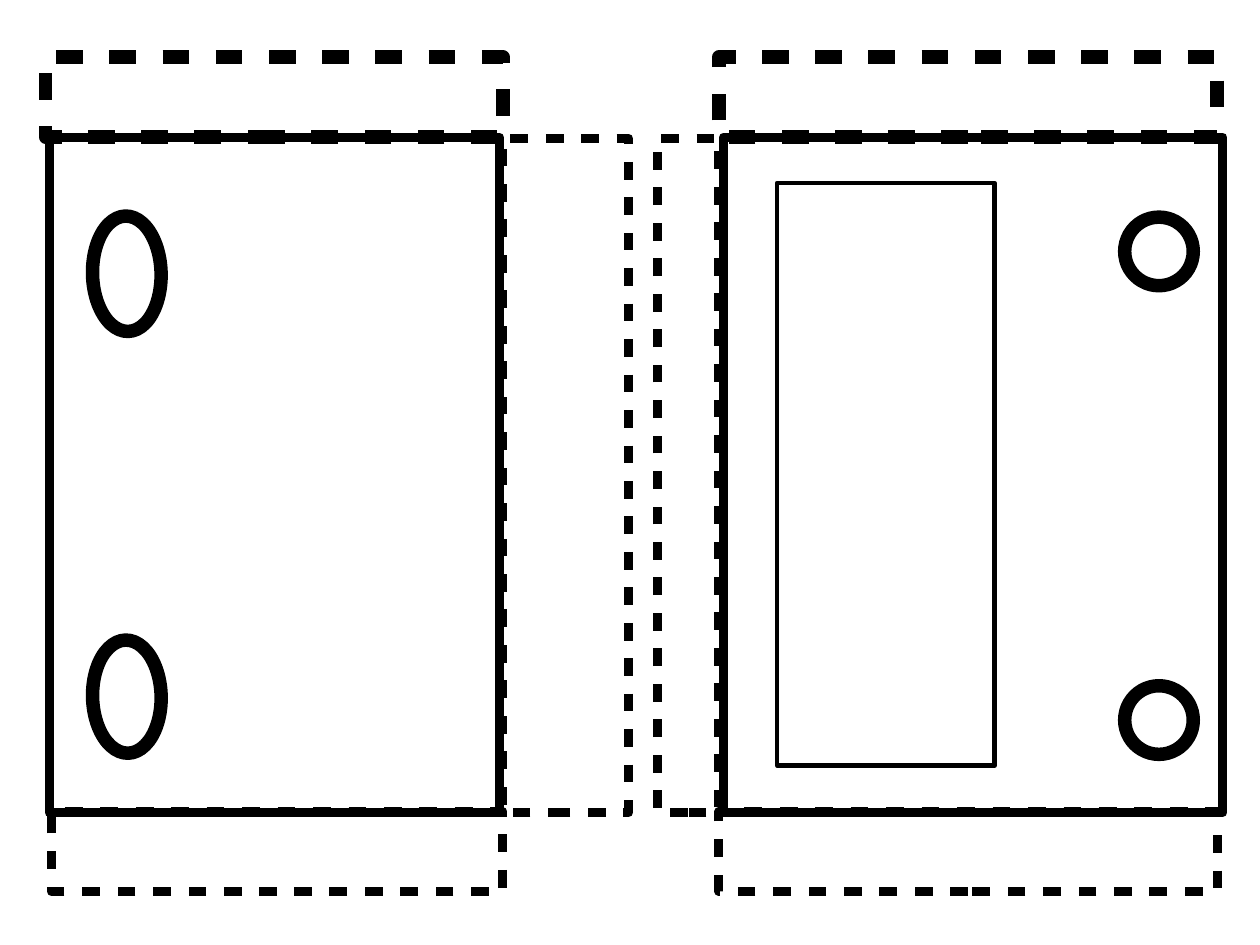
from lxml.etree import SubElement as Sub
from pptx import Presentation
from pptx.dml.color import RGBColor
from pptx.enum.shapes import MSO_SHAPE as Kind
from pptx.oxml.ns import qn
from pptx.util import Inches, Pt

BLACK = RGBColor(0, 0, 0)
WHITE = RGBColor(255, 255, 255)
THIN, MID, THICK = 2.83, 5.67, 8.5
DASH = "197000"


class Sheet:
    """Draws the outlined panels, flaps and holes of a folding card."""

    def __init__(self, slide):
        self.slide = slide
        self.home = slide.shapes

    def shape(self, kind, box, width, fill=None, **form):
        item = self.home.add_shape(kind, *map(Inches, box))
        item.shadow.inherit = False
        if fill is None:
            item.fill.background()
        else:
            item.fill.solid()
            item.fill.fore_color.rgb = fill
        item.line.color.rgb = BLACK
        for name, value in form.items():
            setattr(item, name, value)
        item.line.width = Pt(width)
        return item

    def rect(self, box, width, dash=False, flip=False):
        item = self.shape(Kind.RECTANGLE, box, width)
        line = item.line._get_or_add_ln()
        if dash:
            Sub(Sub(line, qn("a:custDash")), qn("a:ds"), d=DASH, sp=DASH)
        Sub(line, qn("a:round"))
        if flip:
            item._element.spPr.xfrm.set("flipH", "1")

    def panel(self, body, top, base, side, flip=False):
        self.rect(body, MID, flip=flip)
        for box, width in ((top, THICK), (base, MID), (side, MID)):
            self.rect(box, width, True, flip)

    def group(self):
        self.home = self.slide.shapes.add_group_shape().shapes

    def leave(self):
        self.home = self.slide.shapes

    def hole(self, box, turn=0):
        self.shape(Kind.FLOWCHART_CONNECTOR, box, THICK, WHITE, rotation=turn)


def main():
    deck = Presentation()
    deck.slide_width, deck.slide_height = Inches(28 / 2.54), Inches(21 / 2.54)
    sheet = Sheet(deck.slides.add_slide(deck.slide_layouts[6]))

    sheet.group()
    sheet.panel((0.43, 1.2, 3.94, 5.91), (0.4, 0.5, 4, 0.7),
                (0.45, 7.1, 3.95, 0.7), (4.4, 1.21, 1.1, 5.9))
    sheet.leave()
    sheet.panel((6.33, 1.2, 4.37, 5.91), (6.29, 0.5, 4.36, 0.7),
                (6.29, 7.1, 4.36, 0.7), (5.75, 1.21, 0.54, 5.9), flip=True)
    sheet.rect((6.8, 1.6, 1.9, 5.1), THIN)

    for top in (1.9, 6):
        sheet.hole((9.84, top, 0.6, 0.6))
    for top, high in ((1.89, 1.01), (5.6, 0.99)):
        sheet.hole((0.81, top, 0.6, high), 358.6)

    deck.save("out.pptx")


if __name__ == "__main__":
    main()
